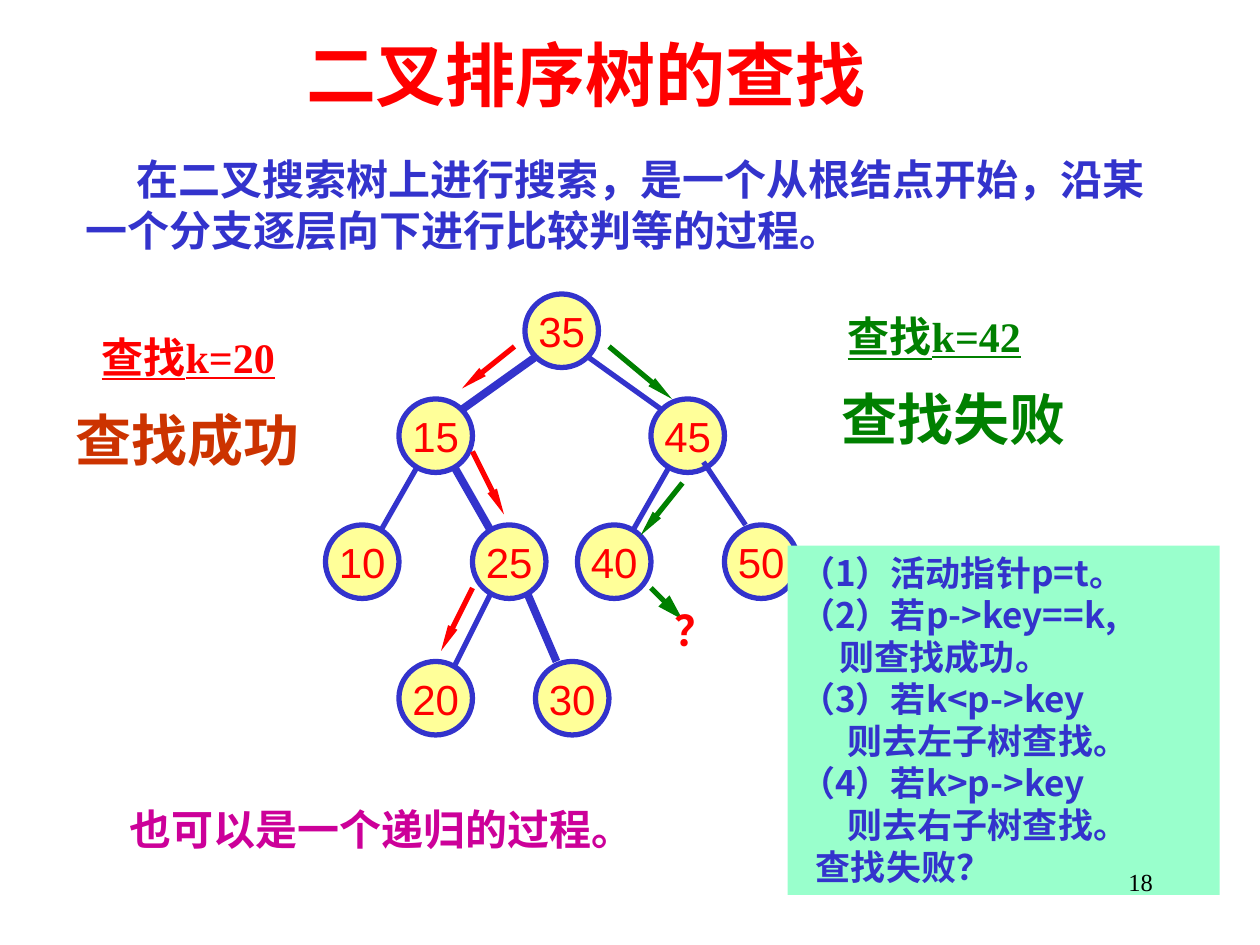
from dataclasses import dataclass

from lxml.etree import SubElement
from pptx import Presentation
from pptx.dml.color import RGBColor
from pptx.enum.shapes import MSO_CONNECTOR, MSO_SHAPE
from pptx.enum.text import MSO_ANCHOR, PP_ALIGN
from pptx.oxml.ns import qn
from pptx.util import Cm, Pt

RED = RGBColor(0xFF, 0x00, 0x00)
RUST = RGBColor(0xCC, 0x33, 0x00)
GREEN = RGBColor(0x00, 0x80, 0x00)
BLUE = RGBColor(0x33, 0x33, 0xCC)
MAGENTA = RGBColor(0xCC, 0x00, 0x99)
BLACK = RGBColor(0x00, 0x00, 0x00)
YELLOW = RGBColor(0xFF, 0xFF, 0x99)
MINT = RGBColor(0x99, 0xFF, 0xCC)
SERIF, SANS, CJK = "Times New Roman", "Arial", "Noto Sans CJK SC"

GRID = Cm(2.54) / 12  # the tree sits on a grid of twelve steps to the inch
NODE_SIZE = 7
THIN, THICK = Pt(3), Pt(4.5)


@dataclass
class Node:
    key: str
    x: int
    y: int


@dataclass
class Link:
    x1: int
    y1: int
    x2: int
    y2: int
    width: Pt = THIN
    color: RGBColor = BLUE
    head_width: str = ""  # empty for a plain edge


@dataclass
class Step:
    text: str
    margin: float = 0


def grid(steps: int) -> int:
    return round(steps * GRID)


def write(frame, text: str, *, size: float = 24, color: RGBColor = BLACK,
          font: str = SERIF, bold: bool = True, underline: bool = False,
          align=PP_ALIGN.LEFT, margin: float = 0, indent: float = 0,
          spacing=None, new: bool = False) -> None:
    """Write one paragraph into a text frame."""
    paragraph = frame.add_paragraph() if new else frame.paragraphs[0]
    paragraph.alignment = align
    if spacing:
        paragraph.line_spacing = spacing
    properties = paragraph._p.get_or_add_pPr()
    properties.set("marL", str(Cm(margin)))
    properties.set("indent", str(Cm(indent)))
    run = paragraph.add_run()
    run.text = text
    run.font.size = Pt(size)
    run.font.name = font
    run.font.bold = bold
    run.font.underline = underline
    run.font.color.rgb = color
    SubElement(run._r.get_or_add_rPr(), qn("a:ea")).set("typeface", CJK)


def add_label(slide, text: str, left: float, top: float, width: float,
              height: float, *, wrap: bool = True,
              anchor=MSO_ANCHOR.TOP, **style) -> None:
    frame = slide.shapes.add_textbox(
        Cm(left), Cm(top), Cm(width), Cm(height)).text_frame
    frame.word_wrap = wrap
    frame.vertical_anchor = anchor
    write(frame, text, **style)


def add_link(slide, link: Link) -> None:
    line = slide.shapes.add_connector(
        MSO_CONNECTOR.STRAIGHT, grid(link.x1), grid(link.y1),
        grid(link.x2), grid(link.y2))
    line.line.color.rgb = link.color
    line.line.width = link.width
    if link.head_width:
        head = SubElement(line.line._get_or_add_ln(), qn("a:tailEnd"))
        head.set("type", "triangle")
        head.set("w", link.head_width)
        head.set("len", "lg")
    SubElement(line._element.spPr, qn("a:effectLst"))


def add_node(slide, node: Node) -> None:
    circle = slide.shapes.add_shape(
        MSO_SHAPE.OVAL, grid(node.x), grid(node.y),
        grid(NODE_SIZE), grid(NODE_SIZE))
    circle.shadow.inherit = False
    circle.fill.solid()
    circle.fill.fore_color.rgb = YELLOW
    circle.line.color.rgb = BLUE
    circle.line.width = THIN
    circle.text_frame.word_wrap = False
    circle.text_frame.vertical_anchor = MSO_ANCHOR.MIDDLE
    write(circle.text_frame, node.key, font=SANS, bold=False, color=RED,
          align=PP_ALIGN.CENTER)


def add_steps(slide, steps: list[Step]) -> None:
    panel = slide.shapes.add_shape(
        MSO_SHAPE.RECTANGLE, Cm(15.88), Cm(11), Cm(8.71), Cm(7.04))
    panel.shadow.inherit = False
    panel.fill.solid()
    panel.fill.fore_color.rgb = MINT
    panel.line.fill.background()
    panel.text_frame.word_wrap = True
    panel.text_frame.vertical_anchor = MSO_ANCHOR.TOP
    for number, step in enumerate(steps):
        write(panel.text_frame, step.text, size=20, color=BLUE, font=CJK,
              margin=step.margin, spacing=Pt(24), new=number > 0)


LOWER_EDGES = [
    Link(64, 44, 60, 51),
    Link(50, 56, 53, 63, THICK),
    Link(47, 56, 43, 64),
    Link(40, 44, 36, 51),
    Link(43, 44, 47, 51, THICK),
]
NODES = [
    Node("35", 50, 28),
    Node("15", 38, 38), Node("45", 62, 38),
    Node("50", 69, 50), Node("40", 55, 50), Node("25", 45, 50), Node("10", 31, 50),
    Node("20", 38, 63), Node("30", 51, 63),
]
UPPER_EDGES = [
    Link(51, 34, 44, 39, THICK),
    Link(56, 34, 63, 39),
    Link(67, 44, 71, 50),
]
SEARCH_ARROWS = [
    Link(49, 33, 44, 37, color=RED, head_width="sm"),
    Link(45, 43, 48, 49, color=RED, head_width="sm"),
    Link(45, 56, 42, 62, color=RED, head_width="sm"),
    Link(58, 33, 64, 38, color=GREEN, head_width="sm"),
    Link(65, 46, 61, 51, color=GREEN, head_width="sm"),
    Link(62, 56, 65, 59, color=GREEN, head_width="med"),
]
STEPS = [
    Step("（1）活动指针p=t。"),
    Step("（2）若p->key==k,"),
    Step("则查找成功。", 0.8),
    Step("（3）若k<p->key"),
    Step("则去左子树查找。", 0.96),
    Step("（4）若k>p->key"),
    Step("则去右子树查找。", 0.96),
    Step("查找失败？", 0.32),
]


def main() -> None:
    presentation = Presentation()
    presentation.slide_width, presentation.slide_height = Cm(25.4), Cm(19.05)
    slide = presentation.slides.add_slide(presentation.slide_layouts[6])

    # Title and introduction
    add_label(slide, "二叉排序树的查找", 5.92, 0.64, 12.5, 1.7, size=40,
              color=RED, anchor=MSO_ANCHOR.MIDDLE)
    add_label(slide, "在二叉搜索树上进行搜索，是一个从根结点开始，沿某一个分支逐层向下进行比较判等的过程。",
              1.47, 2.98, 22.43, 2.3, color=BLUE, indent=1.04)

    # Search tree
    for edge in LOWER_EDGES:
        add_link(slide, edge)
    for node in NODES:
        add_node(slide, node)
    for edge in UPPER_EDGES:
        add_link(slide, edge)

    # Search paths
    for arrow in SEARCH_ARROWS:
        add_link(slide, arrow)

    # Search results
    add_label(slide, "查找k=20", 1.8, 6.55, 4.42, 1.27, wrap=False,
              color=RED, underline=True)
    add_label(slide, "查找成功", 1.27, 8.05, 5.03, 1.63, wrap=False,
              size=32, color=RUST)
    add_label(slide, "查找k=42", 16.84, 6.13, 4.8, 1.27,
              color=GREEN, underline=True)
    add_label(slide, "查找失败", 16.71, 7.62, 5.05, 1.63, size=32, color=GREEN)
    add_label(slide, "？", 13.34, 12.07, 1.35, 1.27, wrap=False, color=RED)
    add_label(slide, "也可以是一个递归的过程。", 2.36, 16.08, 10.67, 1.27,
              wrap=False, color=MAGENTA)

    # Algorithm steps and page number
    add_steps(slide, STEPS)
    add_label(slide, "18", 18.21, 17.35, 5.28, 1.27, size=14, bold=False,
              align=PP_ALIGN.RIGHT)

    presentation.save("out.pptx")


if __name__ == "__main__":
    main()
